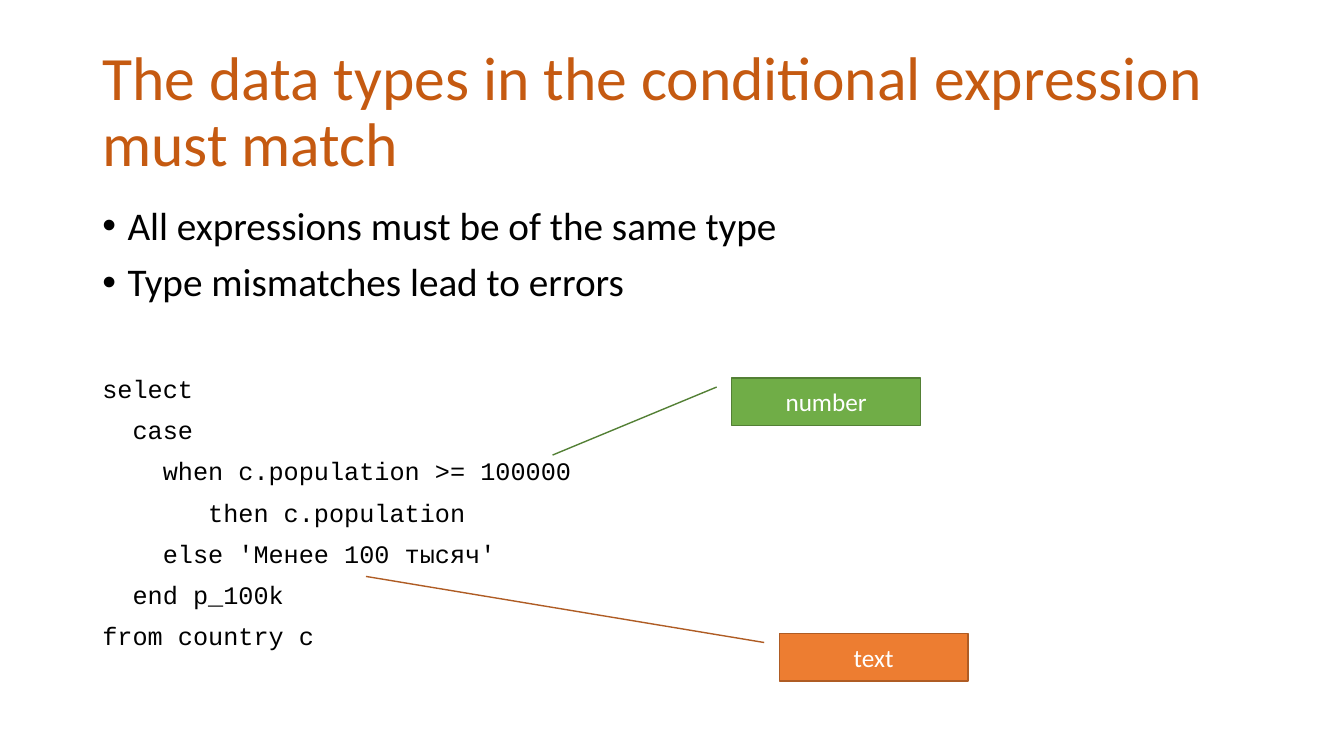
import pptx
import pptx.util
import pptx.dml.color
import pptx.enum.shapes
import pptx.enum.text
import pptx.oxml.ns
from lxml import etree
from pptx.util import Pt

COLORS = {
    "title": "C55A11", "body": "000000", "label": "FFFFFF",
    "number": "70AD47", "number line": "538035",
    "text": "ED7D31", "text line": "AF5C24",
}
CODE_SIZE = 18
CODE_CHARACTER = 0.6 * CODE_SIZE  # advance width of the monospaced font

BULLETS = ["All expressions must be of the same type",
           "Type mismatches lead to errors"]
# Indent in characters, then the code
QUERY = [
    (0, "select"),
    (2, "case"),
    (4, "when c.population >= 100000"),
    (7, "then c.population"),
    (4, "else 'Менее 100 тысяч'"),
    (2, "end p_100k"),
    (0, "from country c"),
]


def color(name):
    return pptx.dml.color.RGBColor.from_string(COLORS[name])


def add_run(paragraph, text, size, font, color_name):
    run = paragraph.add_run()
    run.text = text
    run.font.size = Pt(size)
    run.font.name = font
    run.font.color.rgb = color(color_name)


def set_indent(paragraph, left, first=0):
    properties = paragraph._p.get_or_add_pPr()
    properties.set("marL", str(Pt(left)))
    properties.set("indent", str(Pt(first)))
    return properties


def add_bullet(paragraph):
    properties = set_indent(paragraph, 18, -18)
    font = etree.SubElement(properties, pptx.oxml.ns.qn("a:buFont"))
    font.set("typeface", "Arial")
    bullet = etree.SubElement(properties, pptx.oxml.ns.qn("a:buChar"))
    bullet.set("char", "•")


def format_title(title, text):
    title.left, title.top, title.width, title.height = Pt(66), Pt(28.75), Pt(828), Pt(104.4)
    frame = title.text_frame
    frame.word_wrap = True
    frame.auto_size = pptx.enum.text.MSO_AUTO_SIZE.NONE
    frame.vertical_anchor = pptx.enum.text.MSO_ANCHOR.MIDDLE
    paragraph = frame.paragraphs[0]
    paragraph.alignment = pptx.enum.text.PP_ALIGN.LEFT
    paragraph.line_spacing = 0.9
    add_run(paragraph, text, 44, "Calibri", "title")


def add_body(slide):
    frame = slide.shapes.add_textbox(Pt(66), Pt(144), Pt(558), Pt(342.6)).text_frame
    frame.word_wrap = True
    paragraphs = [frame.paragraphs[0]]
    paragraphs += [frame.add_paragraph() for _ in (BULLETS + QUERY)[1:]]
    for paragraph in paragraphs:
        paragraph.line_spacing = 0.9
        paragraph.space_before = Pt(10)

    for paragraph, text in zip(paragraphs, BULLETS):
        add_bullet(paragraph)
        add_run(paragraph, text, 28, "Calibri", "body")

    code = paragraphs[len(BULLETS):]
    for paragraph, (indent, text) in zip(code, QUERY):
        set_indent(paragraph, indent * CODE_CHARACTER)
        add_run(paragraph, text, CODE_SIZE, "Courier New", "body")
    code[0].space_before = Pt(51)  # separates the query from the bullets


def add_callout(slide, label, left, top, end_y, end_x):
    """Add a labelled box whose line ends at the given fractions of its size."""
    shape = slide.shapes.add_shape(
        pptx.enum.shapes.MSO_SHAPE.LINE_CALLOUT_1, Pt(left), Pt(top), Pt(134.8), Pt(34))
    for index, value in enumerate((0.19, -0.08, end_y, end_x)):
        shape.adjustments[index] = value
    shape.shadow.inherit = False
    shape.fill.solid()
    shape.fill.fore_color.rgb = color(label)
    shape.line.color.rgb = color(label + " line")
    shape.line.width = Pt(1)
    frame = shape.text_frame
    frame.word_wrap = True
    frame.vertical_anchor = pptx.enum.text.MSO_ANCHOR.MIDDLE
    paragraph = frame.paragraphs[0]
    paragraph.alignment = pptx.enum.text.PP_ALIGN.CENTER
    add_run(paragraph, label, 18, "Calibri", "label")


def main():
    presentation = pptx.Presentation()
    presentation.slide_width, presentation.slide_height = Pt(960), Pt(540)
    slide = presentation.slides.add_slide(presentation.slide_layouts[5])

    # Title and text
    format_title(slide.shapes.title, "The data types in the conditional expression must match")
    add_body(slide)

    # Types of the two branches
    add_callout(slide, "number", 522.7, 270, 1.62, -0.95)
    add_callout(slide, "text", 556.6, 452.5, -1.2, -2.19)

    presentation.save("out.pptx")


if __name__ == "__main__":
    main()
